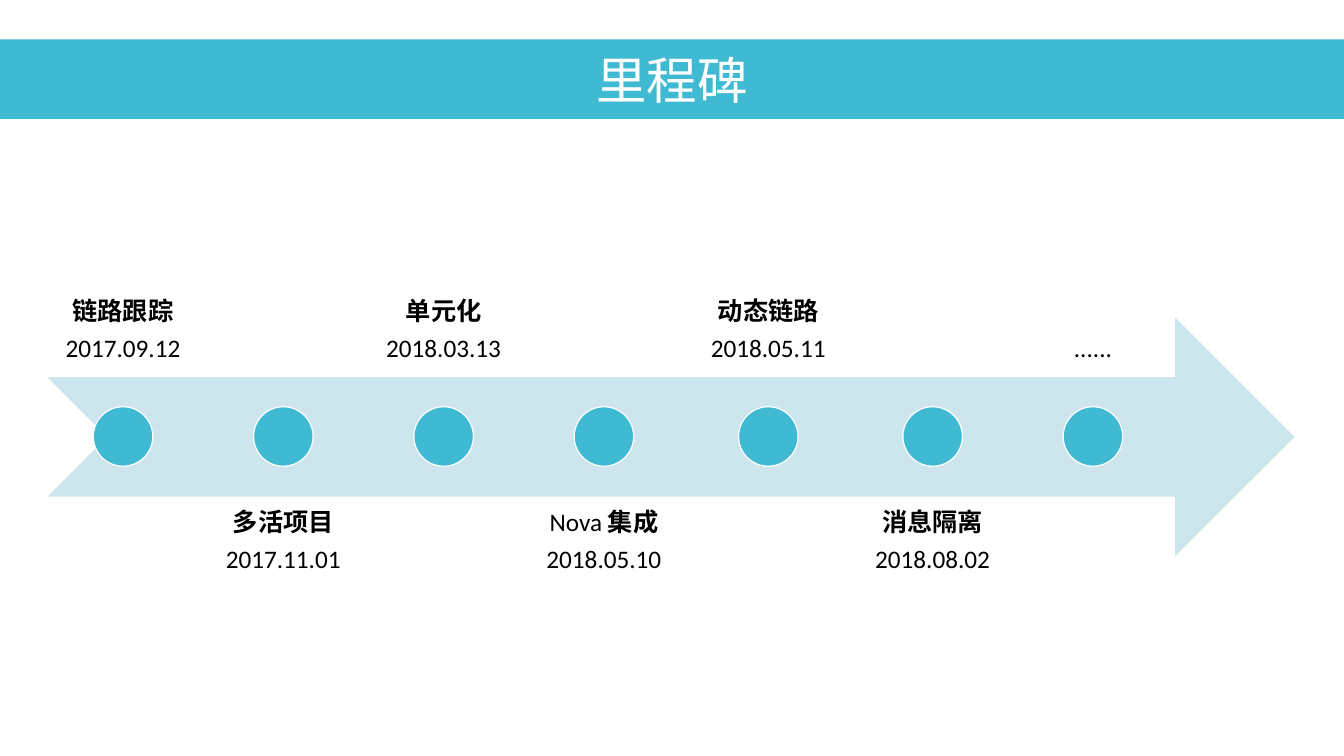
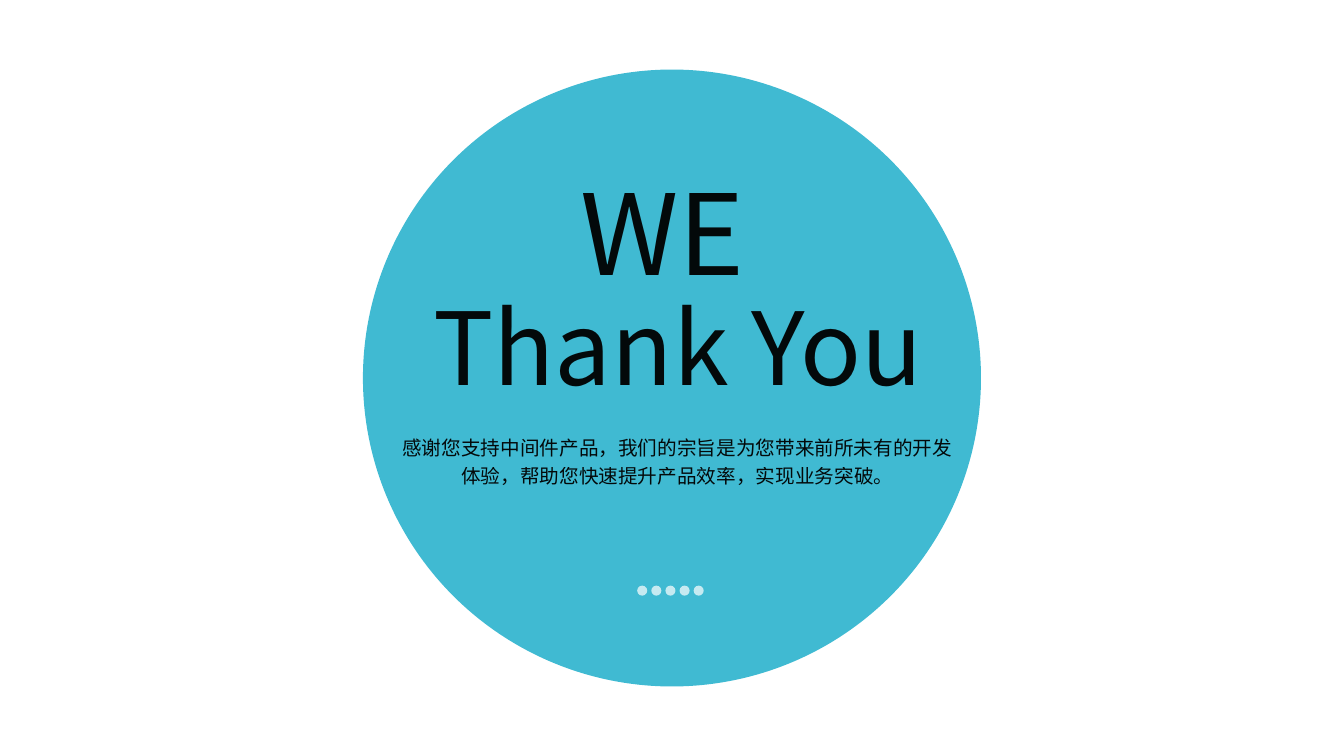
"""Build a milestone timeline slide and a closing thank-you slide."""
from pptx import Presentation
from pptx.dml.color import RGBColor
from pptx.enum.shapes import MSO_SHAPE as Kind
from pptx.enum.text import MSO_ANCHOR as Anchor, MSO_AUTO_SIZE as Fit, PP_ALIGN as Align
from pptx.oxml.ns import qn
from pptx.util import Inches, Pt
from lxml.etree import SubElement

TEAL = RGBColor(0x40, 0xBA, 0xD2)
PALE = RGBColor(0xCD, 0xE6, 0xEE)
WHITE = RGBColor(0xFF, 0xFF, 0xFF)
BLACK = RGBColor(0, 0, 0)
LATIN, HAN = "Calibri", "Noto Sans CJK SC"

STEPS = [
    (1.22, [("链路跟踪", True)], "2017.09.12"),
    (2.81, [("多活项目", True)], "2017.11.01"),
    (4.40, [("单元化", True)], "2018.03.13"),
    (5.99, [("Nova ", False), ("集成", True)], "2018.05.10"),
    (7.62, [("动态链路", True)], "2018.05.11"),
    (9.25, [("消息隔离", True)], "2018.08.02"),
    (10.84, [], "......"),
]
THANKS = "感谢您支持中间件产品，我们的宗旨是为您带来前所未有的开发体验，帮助您快速提升产品效率，实现业务突破。"

ARROW = (0.47, 3.15, 12.37, 2.37)
MID, DOT = 4.33, 0.59
LABEL_W, LABEL_H, ABOVE, BELOW = 1.6, 0.99, 2.75, 4.92
TINY, TINY_X, TINY_Y, TINY_GAP = 0.1, 6.32, 5.81, 0.14

LABEL = {"size": 18, "font": LATIN, "color": BLACK}
BAND = {"size": 36, "font": LATIN, "color": WHITE}
CLOSE = {"font": HAN, "color": BLACK, "alpha": 95}


def fade(fill, alpha):
    """Set the opacity of a solid fill in percent."""
    tint = fill._xPr.find(qn("a:solidFill"))[0]
    SubElement(tint, qn("a:alpha")).set("val", str(alpha * 1000))


def place(shape, box):
    """Move and size a shape in inches."""
    for name, value in zip(("left", "top", "width", "height"), box):
        setattr(shape, name, Inches(value))


def draw(slide, kind, box, color, edge=None, alpha=None):
    """Add a flat filled shape."""
    shape = slide.shapes.add_shape(kind, *map(Inches, box))
    shape.shadow.inherit = False
    shape.fill.solid()
    shape.fill.fore_color.rgb = color
    if alpha:
        fade(shape.fill, alpha)
    if edge:
        shape.line.color.rgb = edge
        shape.line.width = Pt(0.85)
    else:
        shape.line.fill.background()


def write(shape, lines, style, anchor=Anchor.TOP, inset=0.05, **spacing):
    """Fill a shape with centred lines, each a list of (text, bold) runs."""
    frame = shape.text_frame
    form = {"word_wrap": True, "auto_size": Fit.NONE, "vertical_anchor": anchor}
    for side in ("left", "top", "right", "bottom"):
        form["margin_" + side] = Inches(inset)
    for name, value in form.items():
        setattr(frame, name, value)
    for i, line in enumerate(lines):
        para = frame.add_paragraph() if i else frame.paragraphs[0]
        for name, value in {"alignment": Align.CENTER, **spacing}.items():
            setattr(para, name, value)
        for text, bold in line:
            run = para.add_run()
            run.text = text
            font = run.font
            look = {"size": Pt(style["size"]), "name": style["font"], "bold": bold}
            for name, value in look.items():
                setattr(font, name, value)
            font.color.rgb = style["color"]
            if "alpha" in style:
                fade(font.fill, style["alpha"])
            SubElement(run._r.rPr, qn("a:ea")).set("typeface", HAN)


def add_text(slide, box, lines, style, **form):
    """Add a text box."""
    write(slide.shapes.add_textbox(*map(Inches, box)), lines, style, **form)


def set_title(slide, box, text, style, **form):
    """Format the title placeholder and bring it to the front."""
    title = slide.shapes.title
    place(title, box)
    write(title, [[(text, False)]], style, **form)
    slide.shapes._spTree.append(title._element)
    return title


def milestones(slide):
    """Draw the timeline with labels alternating above and below."""
    draw(slide, Kind.NOTCHED_RIGHT_ARROW, ARROW, PALE)
    for i, (mid, name, date) in enumerate(STEPS):
        top, anchor = (BELOW, Anchor.TOP) if i % 2 else (ABOVE, Anchor.BOTTOM)
        lines = [line for line in (name, [(date, False)]) if line]
        add_text(slide, (mid - LABEL_W / 2, top, LABEL_W, LABEL_H), lines, LABEL,
                 anchor=anchor, inset=0.14, line_spacing=0.9, space_before=Pt(7))
        draw(slide, Kind.OVAL, (mid - DOT / 2, MID - DOT / 2, DOT, DOT), TEAL, WHITE)
    band = set_title(slide, (0, 0.39, 13.33, 0.79), "里程碑", BAND, anchor=Anchor.MIDDLE)
    band.fill.solid()
    band.fill.fore_color.rgb = TEAL


def closing(slide):
    """Draw the thank-you disc."""
    draw(slide, Kind.OVAL, (3.6, 0.69, 6.13, 6.12), TEAL)
    set_title(slide, (3.77, 2.77, 5.91, 1.32), "Thank You", {**CLOSE, "size": 72})
    add_text(slide, (3.94, 4.23, 5.56, 0.53), [[(THANKS, False)]],
             {**CLOSE, "size": 14}, line_spacing=1.2)
    add_text(slide, (4.84, 1.57, 3.46, 1.43), [[("WE", False)]], {**CLOSE, "size": 80})
    for i in range(5):
        draw(slide, Kind.OVAL, (TINY_X + i * TINY_GAP, TINY_Y, TINY, TINY), WHITE, alpha=70)


def main():
    """Build and save the slides."""
    deck = Presentation()
    deck.slide_width, deck.slide_height = Inches(13.33), Inches(7.5)
    for build in (milestones, closing):
        build(deck.slides.add_slide(deck.slide_layouts[5]))
    deck.save("out.pptx")


if __name__ == "__main__":
    main()
